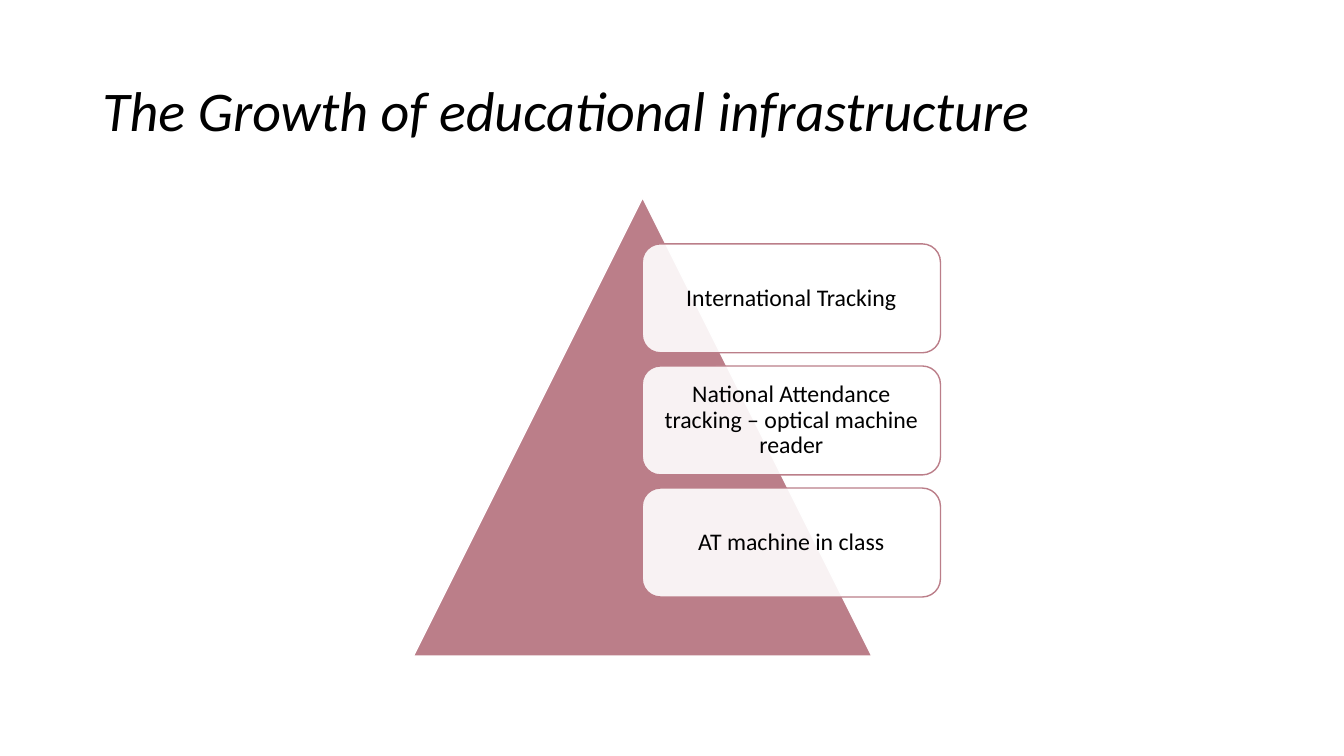
"""Build the slide on the growth of educational infrastructure."""
from lxml.etree import SubElement
from pptx import Presentation
from pptx.dml.color import RGBColor
from pptx.enum.shapes import MSO_SHAPE as Preset
from pptx.enum.text import MSO_ANCHOR as Anchor, PP_ALIGN as Align
from pptx.oxml.ns import qn
from pptx.util import Pt

ROSE = RGBColor(0xBB, 0x7E, 0x89)
WHITE = RGBColor(0xFF, 0xFF, 0xFF)
BLACK = RGBColor(0x00, 0x00, 0x00)
FONT = "Calibri"
LEVELS = [
    "International Tracking",
    "National Attendance tracking – optical machine reader",
    "AT machine in class",
]
BOX_TOP, BOX_PITCH = 174.2, 87.2


def add_preset(preset, left, top, width, height, fill, line):
    shape = slide.shapes.add_shape(preset, Pt(left), Pt(top), Pt(width), Pt(height))
    shape.shadow.inherit = False
    shape.fill.solid()
    shape.fill.fore_color.rgb = fill
    shape.line.color.rgb = line
    shape.line.width = Pt(1)
    return shape


def write_text(frame, text, size, alignment):
    frame.word_wrap = True
    frame.vertical_anchor = Anchor.MIDDLE
    paragraph = frame.paragraphs[0]
    paragraph.alignment = alignment
    paragraph.line_spacing = 0.9
    run = paragraph.add_run()
    run.text = text
    run.font.name = FONT
    run.font.size = Pt(size)
    run.font.color.rgb = BLACK
    return run


presentation = Presentation()
presentation.slide_width = Pt(960)
presentation.slide_height = Pt(540)
slide = presentation.slides.add_slide(presentation.slide_layouts[5])
slide.background.fill.solid()
slide.background.fill.fore_color.rgb = WHITE

title = slide.shapes.title
title.left, title.top, title.width, title.height = Pt(66), Pt(28.8), Pt(828), Pt(104.4)
title_run = write_text(title.text_frame, "The Growth of educational infrastructure", 40, Align.LEFT)
title_run.font.italic = True

add_preset(Preset.ISOSCELES_TRIANGLE, 295.2, 141.1, 327.6, 327.6, ROSE, WHITE)

for index, level in enumerate(LEVELS):
    box = add_preset(Preset.ROUNDED_RECTANGLE, 458.8, BOX_TOP + index * BOX_PITCH,
                     213, 77.8, WHITE, ROSE)
    color = box.fill._xPr.find(qn("a:solidFill")).find(qn("a:srgbClr"))
    SubElement(color, qn("a:alpha"), val="90000")
    frame = box.text_frame
    frame.margin_left = frame.margin_right = Pt(5)
    frame.margin_top = frame.margin_bottom = Pt(5)
    write_text(frame, level, 17, Align.CENTER)

presentation.save("out.pptx")
